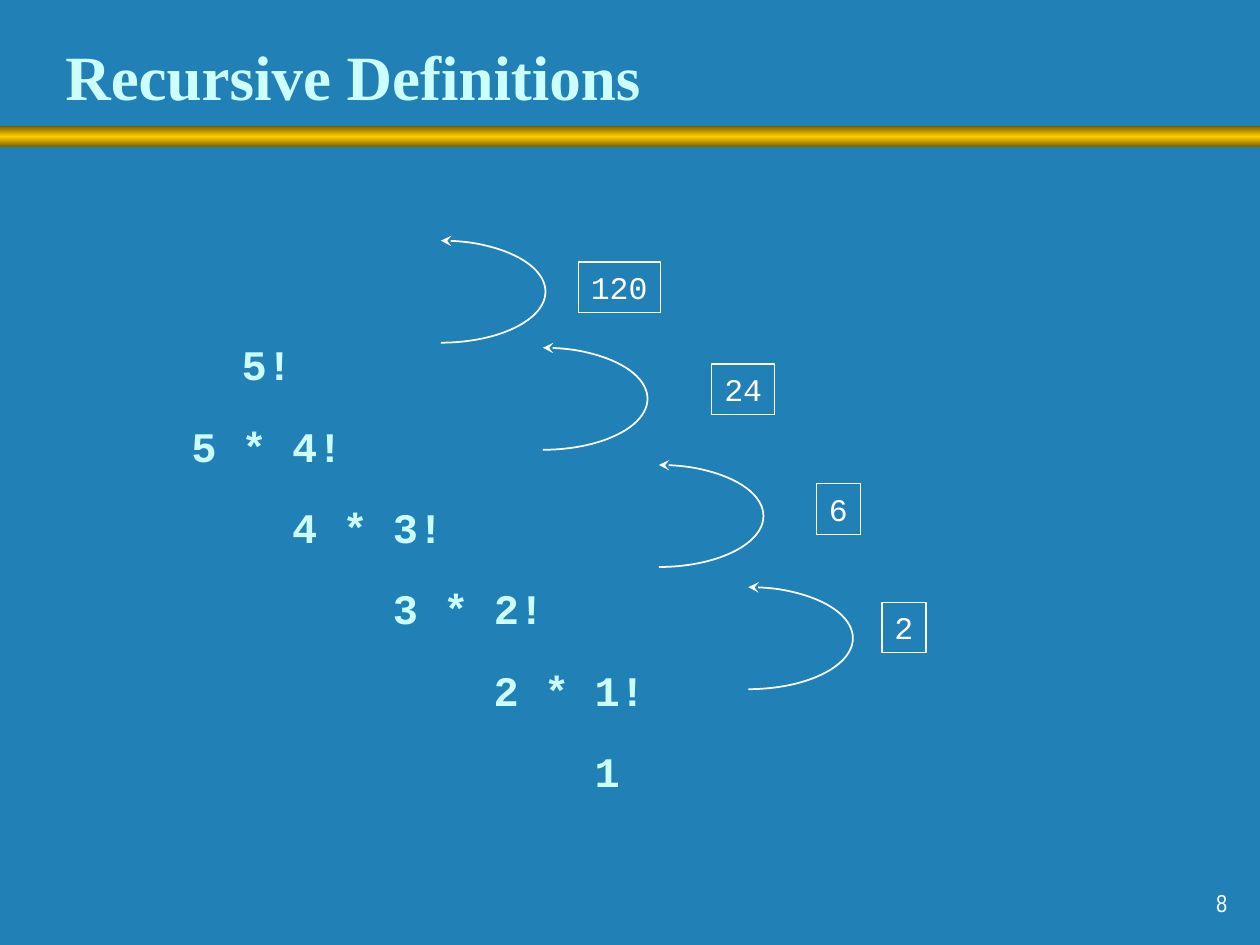
from copy import deepcopy
from dataclasses import dataclass

from lxml import etree
from pptx import Presentation
from pptx import util as u
from pptx.dml.color import RGBColor
from pptx.enum import shapes, text
from pptx.oxml.ns import qn

Inches, Pt = u.Inches, u.Pt


@dataclass(frozen=True)
class Theme:
    back: str = "2181B7"
    pale: str = "CCFFFF"
    white: str = "FFFFFF"
    gold: str = "FFCC00"
    dark: str = "755E00"
    serif: str = "Times New Roman"
    mono: str = "Courier New"
    narrow: str = "Arial Narrow"
    title: int = 36
    step: int = 24
    value: int = 18
    page: int = 14


T = Theme()
CHAR = 0.2
STEPS = [(7, "5!"), (5, "5 * 4!"), (9, "4 * 3!"),
         (13, "3 * 2!"), (17, "2 * 1!"), (21, "1")]
ARCS = [(5.11, 4.66), (4.4, 3.69), (3.48, 2.76), (2.67, 1.91)]
VALUES = [("2", 7, 4.78), ("6", 6.48, 3.84),
          ("24", 5.65, 2.89), ("120", 4.59, 2.08)]


def rgb(code):
    return RGBColor.from_string(code)


def style(para, face, size, color, bold=False):
    font = para.font
    font.name, font.size, font.bold = face, Pt(size), bold
    font.color.rgb = rgb(color)


def add_box(slide, area, anchor=text.MSO_ANCHOR.TOP):
    frame = slide.shapes.add_textbox(*map(Inches, area)).text_frame
    frame.word_wrap = True
    frame.vertical_anchor = anchor
    return frame


def add_shape(slide, kind, area):
    shape = slide.shapes.add_shape(kind, *map(Inches, area))
    shape.shadow.inherit = False
    return shape


def add_bar(slide):
    bar = add_shape(slide, shapes.MSO_SHAPE.RECTANGLE, (0, 1, 10, 0.17))
    bar.line.fill.background()
    bar.fill.gradient()
    bar.fill.gradient_angle = 90
    first = next(bar._element.spPr.iter(qn("a:gs")))
    first.addnext(deepcopy(first))
    looks = [(0, T.dark), (0.5, T.gold), (1, T.dark)]
    for stop, (place, color) in zip(bar.fill.gradient_stops, looks):
        stop.position = place
        stop.color.rgb = rgb(color)


def add_title(slide):
    frame = add_box(slide, (0.42, 0.22, 8.55, 0.75), text.MSO_ANCHOR.MIDDLE)
    frame.text = "Recursive Definitions"
    style(frame.paragraphs[0], T.serif, T.title, T.pale, True)


def add_steps(slide):
    frame = add_box(slide, (0.42, 1.33, 9.08, 5.36))
    frame.margin_top = Inches(1.36)
    frame.text = "\n".join(words for _, words in STEPS)
    for row, (para, (column, _)) in enumerate(zip(frame.paragraphs, STEPS)):
        style(para, T.mono, T.step, T.pale, True)
        para.space_before = Pt(17.7 if row else 0)
        para._p.get_or_add_pPr().set("marL", str(Inches(column * CHAR)))


def add_arc(slide, left, top):
    arc = add_shape(slide, shapes.MSO_SHAPE.ARC, (left, top, 1.66, 0.81))
    arc.adjustments[1] = 54
    arc.fill.background()
    arc.line.color.rgb = rgb(T.white)
    arc.line.width = Pt(1)
    head = etree.SubElement(arc.line._get_or_add_ln(), qn("a:headEnd"))
    head.set("type", "stealth")


def add_value(slide, words, left, top):
    area = (left, top, 0.2 + 0.15 * len(words), 0.4)
    box = add_shape(slide, shapes.MSO_SHAPE.RECTANGLE, area)
    box.fill.background()
    box.line.color.rgb = rgb(T.white)
    box.line.width = Pt(0.75)
    frame = box.text_frame
    frame.word_wrap = False
    frame.vertical_anchor = text.MSO_ANCHOR.TOP
    frame.text = words
    para = frame.paragraphs[0]
    para.alignment = text.PP_ALIGN.LEFT
    style(para, T.mono, T.value, T.white)


def add_page(slide):
    frame = add_box(slide, (7.76, 6.83, 2.08, 0.5), text.MSO_ANCHOR.BOTTOM)
    frame.text = "8"
    para = frame.paragraphs[0]
    para.alignment = text.PP_ALIGN.RIGHT
    style(para, T.narrow, T.page, T.white)


def main():
    deck = Presentation()
    deck.slide_width, deck.slide_height = Inches(10), Inches(7.5)
    slide = deck.slides.add_slide(deck.slide_layouts[6])
    slide.background.fill.solid()
    slide.background.fill.fore_color.rgb = rgb(T.back)
    add_bar(slide)
    add_title(slide)
    add_steps(slide)
    for spot in ARCS:
        add_arc(slide, *spot)
    for value in VALUES:
        add_value(slide, *value)
    add_page(slide)
    deck.save("out.pptx")


if __name__ == "__main__":
    main()
